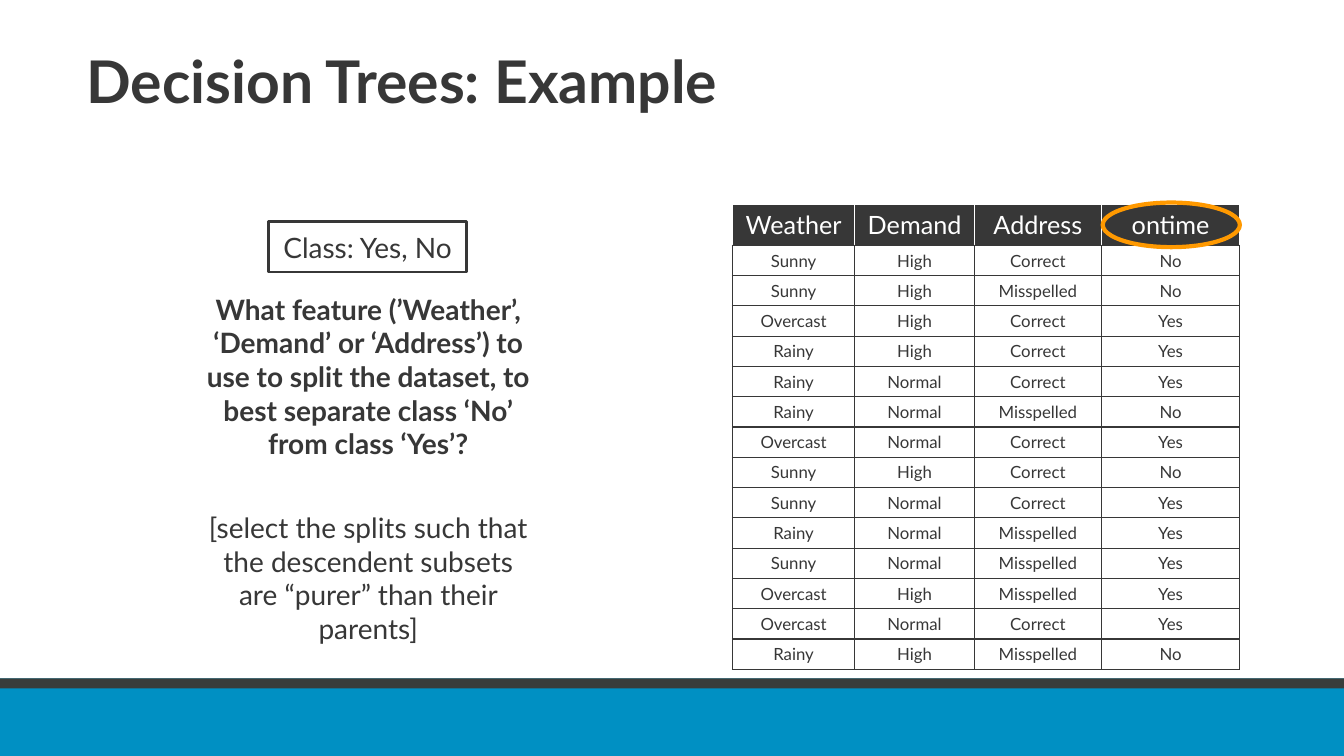
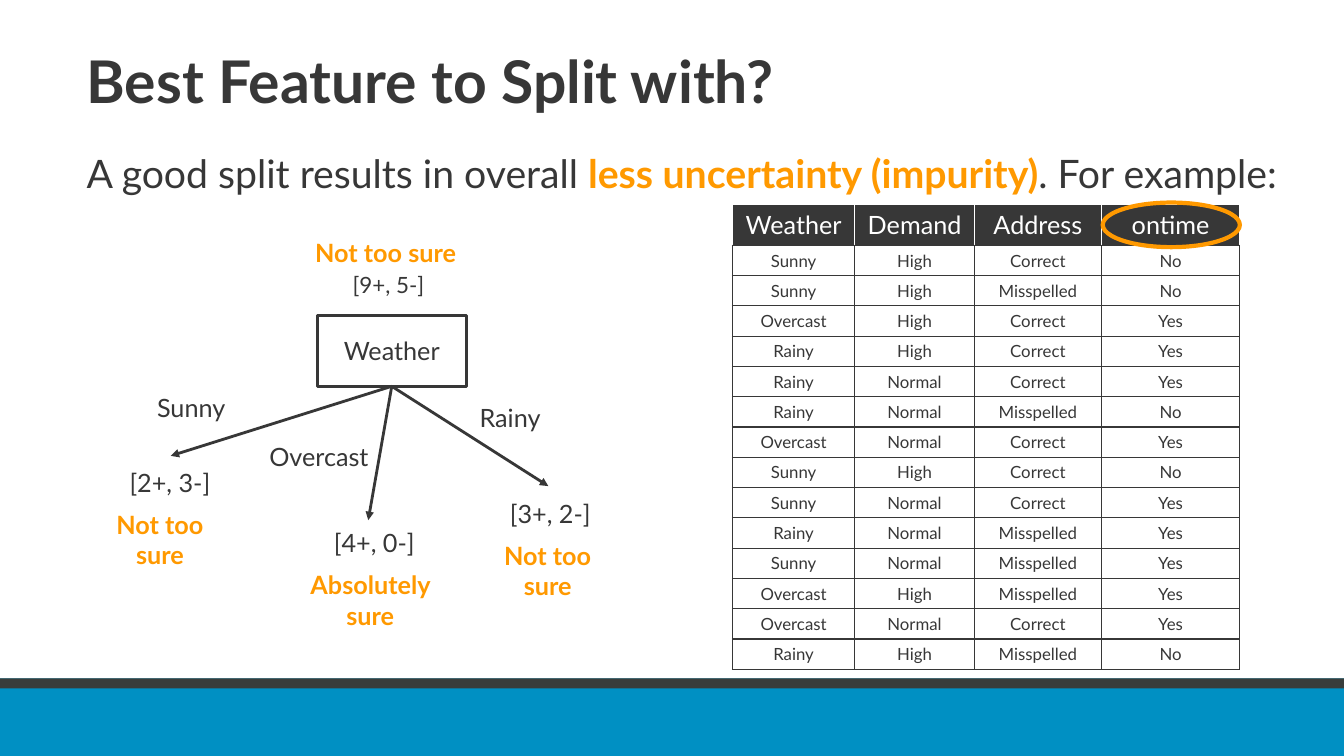
import dataclasses
import pptx
import pptx.dml.color
import pptx.enum.shapes
import pptx.enum.text
import pptx.oxml
import pptx.oxml.ns
import pptx.util

SHAPE = pptx.enum.shapes.MSO_SHAPE
ALIGN = pptx.enum.text.PP_ALIGN
ANCHOR = pptx.enum.text.MSO_ANCHOR


@dataclasses.dataclass(frozen=True)
class Theme:
    font: str = "Lato"
    ink: str = "373737"
    accent: str = "FF9900"
    paper: str = "FFFFFF"
    band: str = "0090C3"
    stripe: str = "383D3B"
    title: int = 42
    lead: int = 28
    text: int = 20
    label: int = 18
    count: int = 16
    cell: int = 12


THEME = Theme()

# Content; every place is (left, top, width, height) in percent of the slide
WIDTH, HEIGHT = 13.33, 7.5
TITLE_PLACE = (5.7, 4.3, 91.1, 14.4)
BANDS = [((0, 89.75, 100, 10.25), THEME.band), ((0, 89.75, 100, 1.3), THEME.stripe)]

HEADER = ("Weather", "Demand", "Address", "ontime")
RECORDS = [
    ("Sunny", "High", "Correct", "No"),
    ("Sunny", "High", "Misspelled", "No"),
    ("Overcast", "High", "Correct", "Yes"),
    ("Rainy", "High", "Correct", "Yes"),
    ("Rainy", "Normal", "Correct", "Yes"),
    ("Rainy", "Normal", "Misspelled", "No"),
    ("Overcast", "Normal", "Correct", "Yes"),
    ("Sunny", "High", "Correct", "No"),
    ("Sunny", "Normal", "Correct", "Yes"),
    ("Rainy", "Normal", "Misspelled", "Yes"),
    ("Sunny", "Normal", "Misspelled", "Yes"),
    ("Overcast", "High", "Misspelled", "Yes"),
    ("Overcast", "Normal", "Correct", "Yes"),
    ("Rainy", "High", "Misspelled", "No"),
]
TABLE_CORNER = (54.5, 27.1)
COLUMN_WIDTHS = (9.1, 8.9, 9.45, 10.3)
HEADER_HEIGHT, RECORD_HEIGHT = 5.35, 4
RING_PLACE = (82.05, 26.8, 10.2, 5.9)

EXAMPLE_TITLE = "Decision Trees: Example"
CLASS_TEXT, CLASS_PLACE = "Class: Yes, No", (20, 29.3, 14.7, 6.7)
QUESTION_PLACE = (14.2, 38, 26.4, 50.7)
QUESTION = ("What feature (’Weather’, ‘Demand’ or ‘Address’) to use to split "
            "the dataset, to best separate class ‘No’ from class ‘Yes’?")
HINT = "[select the splits such that the descendent subsets are “purer” than their parents]"

SPLIT_TITLE = "Best Feature to Split with?"
LEAD_PLACE = (5.7, 19.1, 91.1, 67.1)
LEAD = [("A good split results in overall ", False),
        ("less uncertainty (impurity)", True),
        (". For example:", False)]
ROOT_TEXT, ROOT_PLACE = "Weather", (23.6, 41.7, 11.1, 9.4)
ROOT_COUNT, ROOT_COUNT_PLACE = "[9+, 5-]", (22.4, 35.2, 13, 4.9)
ROOT_VERDICT, ROOT_VERDICT_PLACE = "Not too sure", (21.75, 30.7, 13.9, 5.3)

# Branches: label, (left, top, width), arrow tip, count, (left, top, width),
# verdict, (left, width)
BRANCHES = [
    ("Sunny", (10.95, 51.3, 7.05), (12.7, 60.3),
     "[2+, 3-]", (8.9, 61.1, 8.1), "Not too sure", (6.75, 10.3)),
    ("Overcast", (19.3, 57.7, 9.2), (27.4, 68.8),
     "[4+, 0-]", (24.1, 69.1, 8.1), "Absolutely sure", (21.75, 11.6)),
    ("Rainy", (34.95, 52.5, 7.05), (40.8, 64.3),
     "[3+, 2-]", (37.2, 65.2, 8.7), "Not too sure", (35.6, 10.3)),
]
LINE_HEIGHT, VERDICT_DROP, VERDICT_HEIGHT = 5.3, 5.6, 9.5


# Helpers
def across(share):
    return pptx.util.Inches(WIDTH * share / 100)


def down(share):
    return pptx.util.Inches(HEIGHT * share / 100)


def spot(place):
    left, top, width, height = place
    return across(left), down(top), across(width), down(height)


def color(code):
    return pptx.dml.color.RGBColor.from_string(code)


def add_span(para, words, size, code=THEME.ink, bold=False):
    span = para.add_run()
    span.text = words
    span.font.name = THEME.font
    span.font.size = pptx.util.Pt(size)
    span.font.bold = bold
    span.font.color.rgb = color(code)


def add_text(page, place, words, size, code=THEME.ink, bold=False,
             align=ALIGN.LEFT, anchor=ANCHOR.TOP):
    box = page.shapes.add_textbox(*spot(place))
    box.text_frame.word_wrap = True
    box.text_frame.vertical_anchor = anchor
    para = box.text_frame.paragraphs[0]
    para.alignment = align
    if words:
        add_span(para, words, size, code, bold)
    return box.text_frame


def add_verdict(page, place, words):
    add_text(page, place, words, THEME.label, THEME.accent, True, ALIGN.CENTER)


def add_block(page, kind, place, fill=None, line=None, weight=2):
    block = page.shapes.add_shape(kind, *spot(place))
    block.shadow.inherit = False
    if fill:
        block.fill.solid()
        block.fill.fore_color.rgb = color(fill)
    else:
        block.fill.background()
    if line:
        block.line.color.rgb = color(line)
        block.line.width = pptx.util.Pt(weight)
    else:
        block.line.fill.background()
    return block


def add_framed(page, place, words, size):
    block = add_block(page, SHAPE.RECTANGLE, place, line=THEME.ink)
    block.text_frame.vertical_anchor = ANCHOR.MIDDLE
    para = block.text_frame.paragraphs[0]
    para.alignment = ALIGN.CENTER
    add_span(para, words, size)
    return block


def add_arrow(page, source, tip):
    arrow = page.shapes.add_connector(
        pptx.enum.shapes.MSO_CONNECTOR.STRAIGHT, 0, 0, across(tip[0]), down(tip[1]))
    arrow.begin_connect(source, 2)
    arrow.line.color.rgb = color(THEME.ink)
    arrow.line.width = pptx.util.Pt(2)
    head = pptx.oxml.parse_xml(
        f'<a:tailEnd {pptx.oxml.ns.nsdecls("a")} type="triangle"/>')
    arrow.line._get_or_add_ln().append(head)
    arrow._element.spPr.append(
        pptx.oxml.parse_xml(f'<a:effectLst {pptx.oxml.ns.nsdecls("a")}/>'))


def border_cell(cell, side_color, bottom_color):
    sides = {"lnL": side_color, "lnR": side_color, "lnT": side_color, "lnB": bottom_color}
    properties = cell._tc.get_or_add_tcPr()
    for index, (side, code) in enumerate(sides.items()):
        properties.insert(index, pptx.oxml.parse_xml(
            f'<a:{side} {pptx.oxml.ns.nsdecls("a")} w="12700"><a:solidFill>'
            f'<a:srgbClr val="{code}"/></a:solidFill></a:{side}>'))


def add_records(page):
    heights = [HEADER_HEIGHT] + [RECORD_HEIGHT] * len(RECORDS)
    frame = page.shapes.add_table(
        len(heights), len(HEADER),
        *spot((*TABLE_CORNER, sum(COLUMN_WIDTHS), sum(heights))))
    table = frame.table
    table.first_row = table.horz_banding = False
    for column, width in zip(table.columns, COLUMN_WIDTHS):
        column.width = across(width)
    for row, height in zip(table.rows, heights):
        row.height = down(height)
    for row_index, record in enumerate([HEADER, *RECORDS]):
        for column_index, words in enumerate(record):
            cell = table.cell(row_index, column_index)
            para = cell.text_frame.paragraphs[0]
            para.alignment = ALIGN.CENTER
            if row_index == 0:
                cell.vertical_anchor = ANCHOR.MIDDLE
                cell.fill.solid()
                cell.fill.fore_color.rgb = color(THEME.ink)
                add_span(para, words, THEME.label, THEME.paper)
                border_cell(cell, THEME.paper, THEME.ink)
            else:
                cell.fill.background()
                add_span(para, words, THEME.cell)
                border_cell(cell, THEME.ink, THEME.ink)
    # Ring around the class column's heading
    add_block(page, SHAPE.OVAL, RING_PLACE, line=THEME.accent, weight=3)


def add_page(deck, title):
    page = deck.slides.add_slide(deck.slide_layouts[6])
    for place, fill in BANDS:
        add_block(page, SHAPE.RECTANGLE, place, fill=fill)
    frame = add_text(page, TITLE_PLACE, title, THEME.title, bold=True,
                     anchor=ANCHOR.MIDDLE)
    frame.paragraphs[0].line_spacing = 0.8
    return page


# Slides
def build_example(deck):
    page = add_page(deck, EXAMPLE_TITLE)
    add_framed(page, CLASS_PLACE, CLASS_TEXT, THEME.text)
    frame = add_text(page, QUESTION_PLACE, QUESTION, THEME.text, bold=True,
                     align=ALIGN.CENTER)
    para = frame.add_paragraph()
    para.alignment = ALIGN.CENTER
    para.space_before = pptx.util.Pt(36)
    add_span(para, HINT, THEME.text)
    add_records(page)


def build_split(deck):
    page = add_page(deck, SPLIT_TITLE)
    lead = add_text(page, LEAD_PLACE, "", THEME.lead).paragraphs[0]
    for words, strong in LEAD:
        add_span(lead, words, THEME.lead, THEME.accent if strong else THEME.ink, strong)

    # Tree
    root = add_framed(page, ROOT_PLACE, ROOT_TEXT, THEME.label)
    add_text(page, ROOT_COUNT_PLACE, ROOT_COUNT, THEME.count, align=ALIGN.CENTER)
    add_verdict(page, ROOT_VERDICT_PLACE, ROOT_VERDICT)
    for label, label_spot, tip, count, count_spot, verdict, (left, width) in BRANCHES:
        add_arrow(page, root, tip)
        add_text(page, (*label_spot, LINE_HEIGHT), label, THEME.label)
        add_text(page, (*count_spot, LINE_HEIGHT), count, THEME.label)
        add_verdict(page, (left, count_spot[1] + VERDICT_DROP, width, VERDICT_HEIGHT),
                    verdict)
    add_records(page)


def main():
    deck = pptx.Presentation()
    deck.slide_width = pptx.util.Inches(WIDTH)
    deck.slide_height = pptx.util.Inches(HEIGHT)
    build_example(deck)
    build_split(deck)
    deck.save("out.pptx")


if __name__ == "__main__":
    main()
